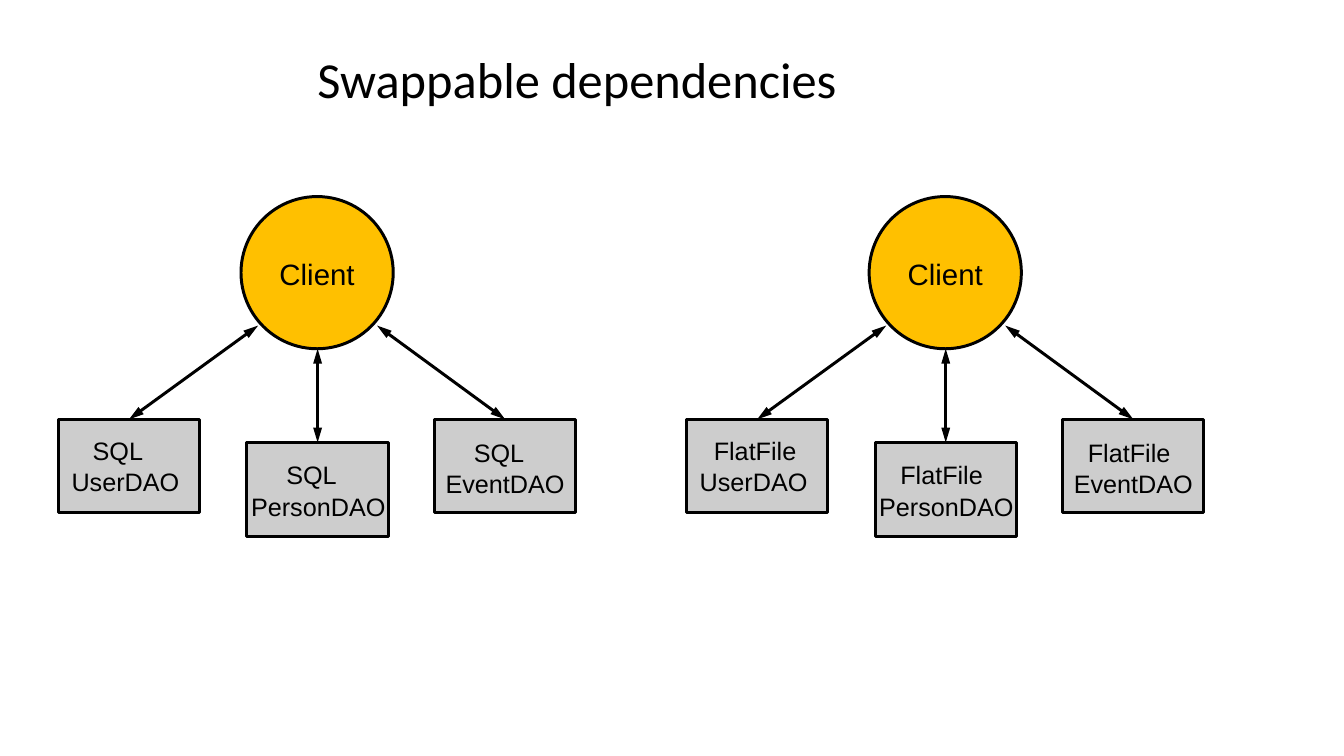
import pptx
import pptx.dml.color
import pptx.enum.shapes
import pptx.enum.text
import pptx.oxml.ns
import pptx.util
from lxml import etree

PX = 9144  # 100 px to the inch
BLACK, GREY, AMBER = "000000", "CDCDCD", "FFC000"
LINE_WIDTH = pptx.util.Pt(2.13)
SHAPES = pptx.enum.shapes.MSO_SHAPE
ALIGN = pptx.enum.text.PP_ALIGN
ANCHOR = pptx.enum.text.MSO_ANCHOR

BOX_WIDTH, BOX_HEIGHT = 140, 93
CLIENT_SIZE = 151
CLIENT_CENTRE = 257
# Left and top of the box, inset of its label, and start of its arrow
# relative to the top centre of the client.
DAO_PLACES = [
    ("UserDAO", (0, 221), (13, 14), (-59, 128)),
    ("PersonDAO", (187, 244), (4, 15), (0, 151)),
    ("EventDAO", (373, 221), (11, 16), (59, 128)),
]


def px(*lengths):
    return [pptx.util.Emu(length * PX) for length in lengths]


def color(value):
    return pptx.dml.color.RGBColor.from_string(value)


def set_text(frame, lines, size, font="Arial", align=ALIGN.LEFT, spacing=1.05,
             anchor=ANCHOR.MIDDLE, insets=(0, 0, 0, 0)):
    """Write lines of (text, indent in px), with insets left, top, right, bottom."""
    frame.word_wrap = True
    frame.vertical_anchor = anchor
    (frame.margin_left, frame.margin_top,
     frame.margin_right, frame.margin_bottom) = px(*insets)
    for index, (text, indent) in enumerate(lines):
        para = frame.add_paragraph() if index else frame.paragraphs[0]
        para.text = text
        para.alignment = align
        para.line_spacing = spacing
        para.font.name = font
        para.font.size = pptx.util.Pt(size)
        para.font.color.rgb = color(BLACK)
        if indent:
            para._p.get_or_add_pPr().set("marL", str(indent * PX))


def add_outlined(page, kind, left, top, width, height, fill):
    shape = page.shapes.add_shape(kind, *px(left, top, width, height))
    shape.shadow.inherit = False
    shape.fill.solid()
    shape.fill.fore_color.rgb = color(fill)
    shape.line.color.rgb = color(BLACK)
    shape.line.width = LINE_WIDTH
    return shape


def add_double_arrow(page, start, end):
    arrow = page.shapes.add_connector(
        pptx.enum.shapes.MSO_CONNECTOR.STRAIGHT, *px(*start, *end))
    arrow.line.color.rgb = color(BLACK)
    arrow.line.width = LINE_WIDTH
    outline = arrow.line._get_or_add_ln()
    for tag in ("a:headEnd", "a:tailEnd"):
        etree.SubElement(outline, pptx.oxml.ns.qn(tag),
                         type="triangle", w="med", len="lg")
    etree.SubElement(arrow._element.spPr, pptx.oxml.ns.qn("a:effectLst"))


def add_title(page, left, top, width, height):
    box = page.shapes.add_textbox(*px(left, top, width, height))
    set_text(box.text_frame, [("Swappable dependencies", 0)], 36,
             font="Calibri", spacing=0.9, insets=(10, 5, 10, 5))


def add_client_tree(page, left, top, storage, indents):
    """Draw a client above its three data access objects."""
    centre = left + CLIENT_CENTRE
    client = add_outlined(page, SHAPES.OVAL, centre - CLIENT_SIZE // 2 - 1, top,
                          CLIENT_SIZE, CLIENT_SIZE, AMBER)
    set_text(client.text_frame, [("Client", 0)], 21, align=ALIGN.CENTER)
    for (name, place, inset, start), indent in zip(DAO_PLACES, indents):
        box_left, box_top = left + place[0], top + place[1]
        box = add_outlined(page, SHAPES.RECTANGLE, box_left, box_top,
                           BOX_WIDTH, BOX_HEIGHT, GREY)
        set_text(box.text_frame, [(storage, indent), (name, 0)], 18,
                 anchor=ANCHOR.TOP, insets=(*inset, 0, 0))
        add_double_arrow(page, (centre + start[0], top + start[1]),
                         (box_left + BOX_WIDTH // 2, box_top))


def main():
    deck = pptx.Presentation()
    deck.slide_width, deck.slide_height = px(1333, 750)
    page = deck.slides.add_slide(deck.slide_layouts[6])
    add_title(page, 305, 19, 850, 125)
    add_client_tree(page, 58, 195, "SQL", (21, 35, 28))
    add_client_tree(page, 681, 195, "FlatFile", (14, 21, 14))
    deck.save("out.pptx")


if __name__ == "__main__":
    main()
